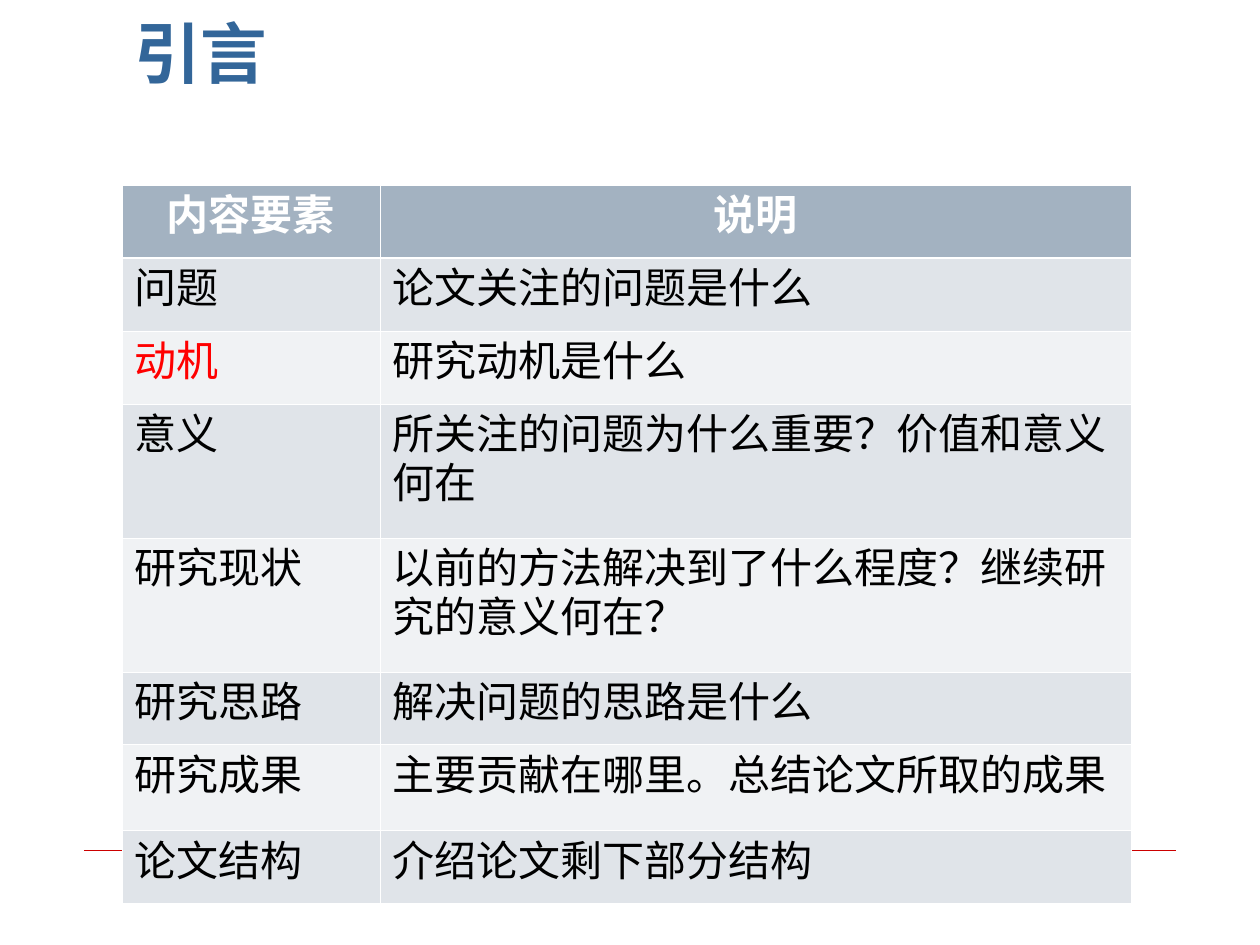
from pptx import Presentation
from pptx.dml.color import RGBColor
from pptx.enum.lang import MSO_LANGUAGE_ID
from pptx.enum.shapes import MSO_CONNECTOR
from pptx.enum.text import MSO_ANCHOR, PP_ALIGN
from pptx.oxml.ns import qn
from pptx.util import Emu, Pt
from lxml.etree import SubElement

PX = 914400 // 126
FONT = "DejaVu Sans"
WHITE = RGBColor(0xFF, 0xFF, 0xFF)
BLACK = RGBColor(0, 0, 0)
RED = RGBColor(0xFF, 0, 0)
RULE_RED = RGBColor(0xCC, 0, 0)
TITLE_BLUE = RGBColor(0x33, 0x66, 0x99)
HEADER_FILL = RGBColor(0xA3, 0xB2, 0xC1)
BAND_FILLS = (RGBColor(0xE0, 0xE4, 0xE9), RGBColor(0xF0, 0xF2, 0xF4))
THIN, THICK = Pt(0.45), Pt(1.47)


def px(*lengths):
    return [Emu(length * PX) for length in lengths]


class SlideBuilder:
    def __init__(self, slide):
        self.slide = slide

    def run(self, paragraph, text, size, color, bold=False):
        run = paragraph.add_run()
        run.text = text
        font = run.font
        font.size, font.bold, font.name = Pt(size), bold, FONT
        font.color.rgb = color
        font.language_id = MSO_LANGUAGE_ID.SIMPLIFIED_CHINESE
        SubElement(run._r.rPr, qn("a:ea"), typeface=FONT)

    def rule(self, x1, y1, x2, y2, color, width):
        rule = self.slide.shapes.add_connector(
            MSO_CONNECTOR.STRAIGHT, *px(x1, y1, x2, y2))
        rule.line.color.rgb = color
        rule.line.width = Pt(width)
        SubElement(rule._element.spPr, qn("a:effectLst"))

    def title(self, text, x, y, width, height):
        frame = self.slide.shapes.add_textbox(*px(x, y, width, height)).text_frame
        frame.word_wrap = True
        frame.vertical_anchor = MSO_ANCHOR.BOTTOM
        frame.margin_top = frame.margin_bottom = 0
        self.run(frame.paragraphs[0], text, 38, TITLE_BLUE, bold=True)

    def borders(self, cell, top, bottom):
        properties = cell._tc.get_or_add_tcPr()
        widths = {"a:lnL": THIN, "a:lnR": THIN, "a:lnT": top, "a:lnB": bottom}
        for index, (side, width) in enumerate(widths.items()):
            line = SubElement(properties, qn(side), w=str(width))
            fill = SubElement(line, qn("a:solidFill"))
            SubElement(fill, qn("a:srgbClr"), val=str(WHITE))
            properties.insert(index, line)

    def table(self, rows, x, y, widths, heights, highlights):
        table = self.slide.shapes.add_table(
            len(rows), len(widths),
            *px(x, y, sum(widths), sum(heights))).table
        for column, width in zip(table.columns, px(*widths)):
            column.width = width
        for r, (texts, height) in enumerate(zip(rows, px(*heights))):
            table.rows[r].height = height
            header = r == 0
            for c, text in enumerate(texts):
                cell = table.cell(r, c)
                cell.fill.solid()
                cell.fill.fore_color.rgb = HEADER_FILL if header else BAND_FILLS[(r - 1) % 2]
                self.borders(cell, THICK if r == 1 else THIN,
                             THICK if header else THIN)
                paragraph = cell.text_frame.paragraphs[0]
                paragraph.alignment = PP_ALIGN.CENTER if header else PP_ALIGN.LEFT
                color = WHITE if header else highlights.get(text, BLACK)
                self.run(paragraph, text, 24, color, bold=header)


def main():
    presentation = Presentation()
    presentation.slide_width, presentation.slide_height = px(1260, 945)
    builder = SlideBuilder(
        presentation.slides.add_slide(presentation.slide_layouts[6]))

    # Footer rule, behind the table
    builder.rule(84, 850, 1176, 850, RULE_RED, 0.25)

    # Title
    builder.title("引言", 122, 14, 863, 78)

    # Elements of an introduction
    elements = [
        ("内容要素", "说明"),
        ("问题", "论文关注的问题是什么"),
        ("动机", "研究动机是什么"),
        ("意义", "所关注的问题为什么重要？价值和意义何在"),
        ("研究现状", "以前的方法解决到了什么程度？继续研究的意义何在？"),
        ("研究思路", "解决问题的思路是什么"),
        ("研究成果", "主要贡献在哪里。总结论文所取的成果"),
        ("论文结构", "介绍论文剩下部分结构"),
    ]
    one_line, two_lines, roomy = 73, 134, 86
    heights = [one_line] * 3 + [two_lines] * 2 + [one_line, roomy, one_line]
    builder.table(elements, 122, 185, [258, 751], heights, {"动机": RED})

    presentation.save("out.pptx")


if __name__ == "__main__":
    main()
